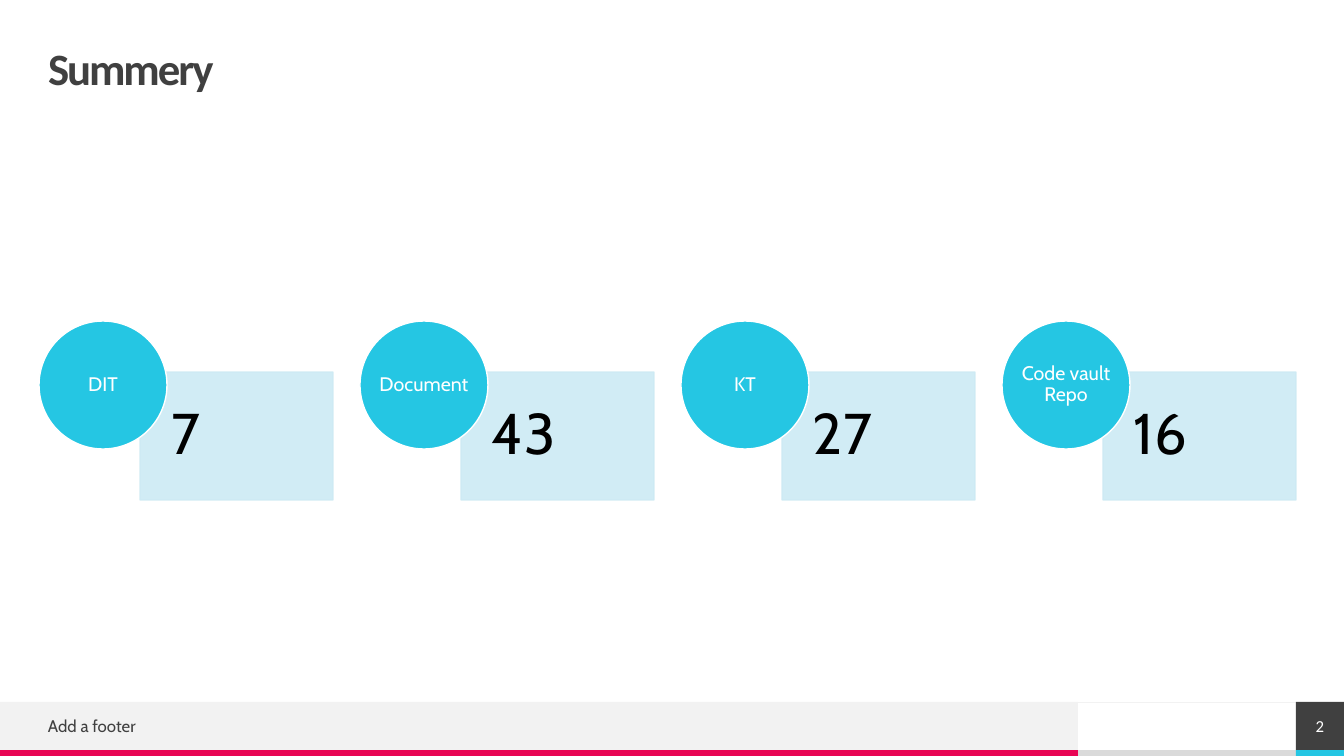
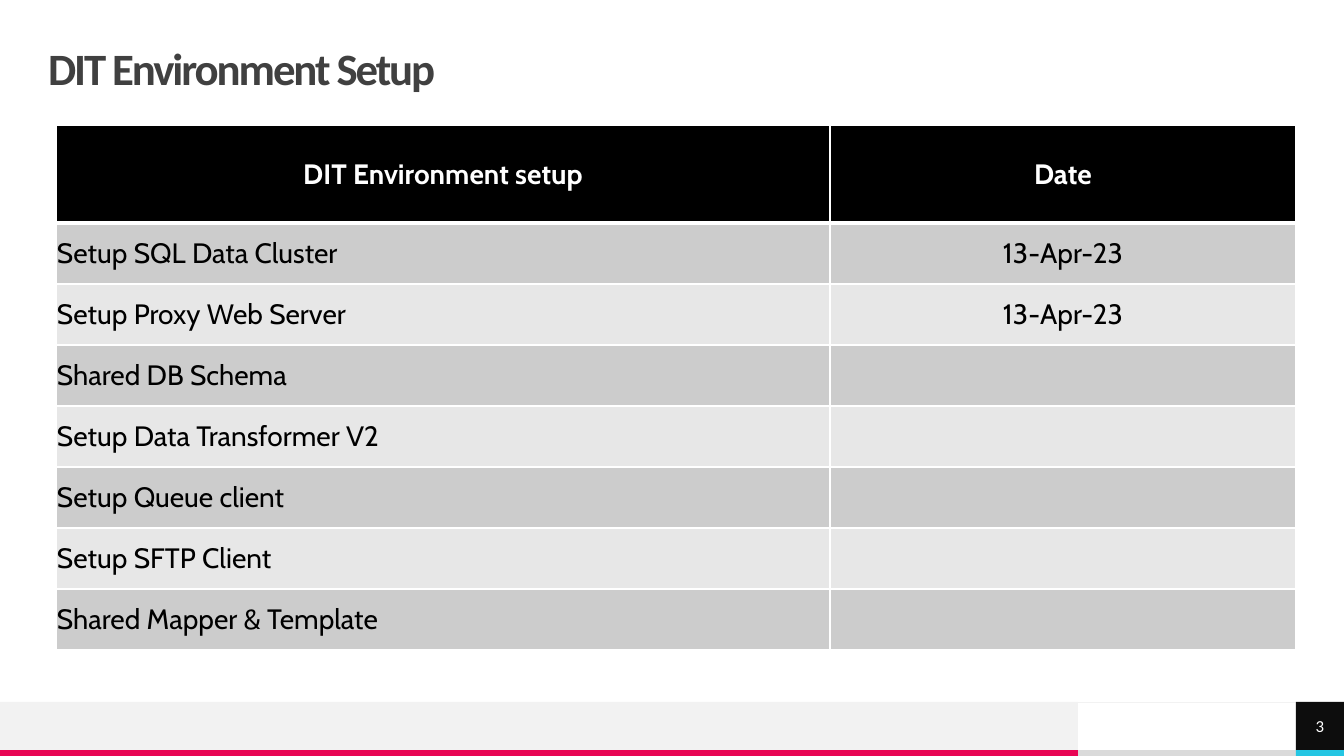
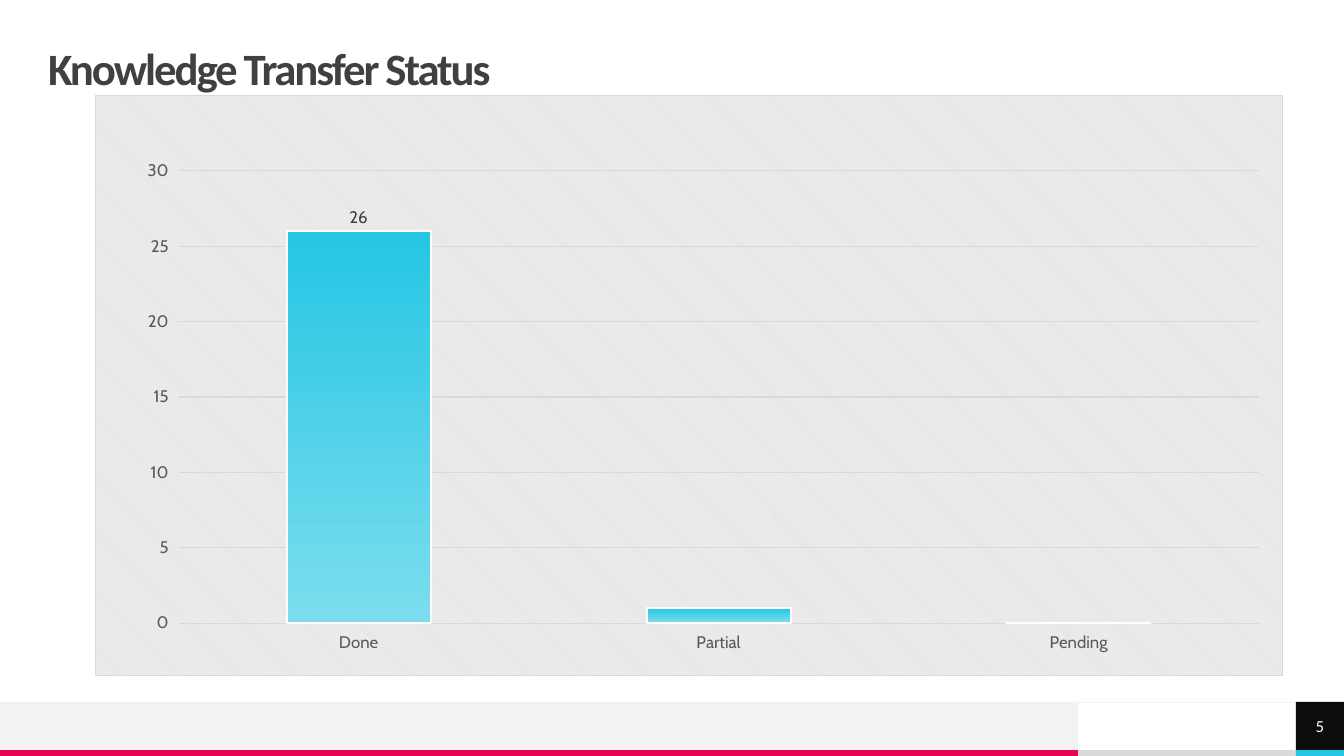
from dataclasses import dataclass

import lxml.etree
import pptx
import pptx.chart.data
import pptx.dml.color
import pptx.enum.chart
import pptx.enum.shapes
import pptx.enum.text
import pptx.oxml
import pptx.oxml.ns
import pptx.util

Align = pptx.enum.text.PP_ALIGN
Anchor = pptx.enum.text.MSO_ANCHOR
Shape = pptx.enum.shapes.MSO_SHAPE
Pt = pptx.util.Pt
qn = pptx.oxml.ns.qn


@dataclass(frozen=True)
class Theme:
    # Colours
    white: str = "FFFFFF"
    black: str = "000000"
    ink: str = "404040"
    near_black: str = "0D0D0D"
    axis_text: str = "595959"
    cyan: str = "25C6E3"
    light_cyan: str = "7CDDEE"
    card: str = "CDEAF4"
    pink: str = "E80554"
    footer: str = "F2F2F2"
    strip: str = "DADADA"
    grid: str = "D9D9D9"
    chart_back: str = "E6E6E6"
    dark_row: str = "CCCCCC"
    light_row: str = "E7E7E7"
    # Fonts and sizes in points
    heading: str = "Calibri"
    body: str = "Cabin"
    title_size: int = 32
    count_size: int = 41
    table_size: int = 20
    circle_size: int = 14
    small_size: int = 12
    chart_size: int = 10


THEME = Theme()
WIDTH, HEIGHT = 1344, 756
MARGIN = 48
FOOTER_TOP, STRIP_TOP = 702, 750
BAND_WIDTH, PAGE_LEFT = 1078, 1296


def px(length):
    return round(length * 914400 / 100.8)


def rgb(colour):
    return pptx.dml.color.RGBColor.from_string(colour)


def box(*lengths):
    return [px(length) for length in lengths]


# Text

def set_font(font, size, colour, name=THEME.body, bold=False):
    font.size, font.name, font.bold = Pt(size), name, bold
    font.color.rgb = rgb(colour)


def write(paragraph, text, size, colour, name=THEME.body, bold=False,
          align=Align.LEFT, leading=None, tracking=None):
    run = paragraph.add_run()
    run.text = text
    set_font(paragraph.font, size, colour, name, bold)
    paragraph.alignment = align
    if leading is not None:
        paragraph.line_spacing = leading
    if tracking is not None:
        run._r.get_or_add_rPr().set("spc", str(round(tracking * 100)))


def set_frame(frame, left=0, top=0, right=0, bottom=0):
    frame.word_wrap = True
    frame.vertical_anchor = Anchor.MIDDLE
    frame.margin_left, frame.margin_top = px(left), px(top)
    frame.margin_right, frame.margin_bottom = px(right), px(bottom)
    return frame.paragraphs[0]


# Shapes

def add_block(slide, kind, place, fill, line=None):
    block = slide.shapes.add_shape(kind, *box(*place))
    block.shadow.inherit = False
    block.fill.solid()
    block.fill.fore_color.rgb = rgb(fill)
    if line:
        block.line.color.rgb = rgb(line)
        block.line.width = Pt(1)
    else:
        block.line.fill.background()
    return block


def set_alpha(shape, percent):
    for colour in shape._element.spPr.iter(qn("a:srgbClr")):
        lxml.etree.SubElement(colour, qn("a:alpha")).set("val", str(percent * 1000))


# Shared slide frame

def add_slide(deck, title, number, page_fill=THEME.near_black):
    slide = deck.slides.add_slide(deck.slide_layouts[5])
    page_width = WIDTH - PAGE_LEFT
    band_height, strip_height = STRIP_TOP - FOOTER_TOP, HEIGHT - STRIP_TOP

    # Footer band and strips
    for left, top, width, height, fill in (
            (BAND_WIDTH, STRIP_TOP, PAGE_LEFT - BAND_WIDTH, strip_height, THEME.strip),
            (0, FOOTER_TOP, BAND_WIDTH, band_height, THEME.footer),
            (0, STRIP_TOP, BAND_WIDTH, strip_height, THEME.pink),
            (PAGE_LEFT, STRIP_TOP, page_width, strip_height, THEME.cyan)):
        add_block(slide, Shape.RECTANGLE, (left, top, width, height), fill)
    rule = slide.shapes.add_connector(
        pptx.enum.shapes.MSO_CONNECTOR.STRAIGHT, *box(WIDTH, FOOTER_TOP, 0, FOOTER_TOP))
    rule.line.color.rgb = rgb(THEME.footer)
    rule.line.width = Pt(0.5)
    lxml.etree.SubElement(rule._element.spPr, qn("a:effectLst"))

    # Page number
    page = add_block(slide, Shape.RECTANGLE,
                     (PAGE_LEFT, FOOTER_TOP, page_width, band_height), page_fill)
    write(set_frame(page.text_frame), str(number), THEME.small_size, THEME.white,
          THEME.heading, align=Align.CENTER)

    # Title
    heading = slide.shapes.title
    heading.left, heading.top, heading.width, heading.height = box(
        MARGIN, 47, PAGE_LEFT - MARGIN, 47)
    write(set_frame(heading.text_frame), title, THEME.title_size, THEME.ink,
          THEME.heading, True, leading=0.9, tracking=-1.5)
    return slide


# Summary cards

def add_card(slide, left, label, count):
    card = add_block(slide, Shape.RECTANGLE, (left, 372, 193, 128), THEME.card, THEME.card)
    set_alpha(card, 90)
    write(set_frame(card.text_frame, 31, 32, 32, 32), str(count), THEME.count_size,
          THEME.black, leading=0.9)
    circle = add_block(slide, Shape.OVAL, (left - 101, 321, 128, 128),
                       THEME.cyan, THEME.white)
    write(set_frame(circle.text_frame), label, THEME.circle_size, THEME.white,
          align=Align.CENTER, leading=0.9)


# Task table

def set_borders(cell, top, bottom):
    properties = cell._tc.get_or_add_tcPr()
    for side, width in (("L", 1), ("R", 1), ("T", top), ("B", bottom)):
        border = lxml.etree.SubElement(properties, qn("a:ln" + side))
        border.set("w", str(Pt(width)))
        fill = lxml.etree.SubElement(border, qn("a:solidFill"))
        lxml.etree.SubElement(fill, qn("a:srgbClr")).set("val", THEME.white)


def add_task_table(slide, rows):
    widths, header_height, row_height = (774, 466), 98, 61
    height = header_height + row_height * (len(rows) - 1)
    table = slide.shapes.add_table(len(rows), len(widths),
                                   *box(56, 125, sum(widths), height)).table
    for column, width in zip(table.columns, widths):
        column.width = px(width)
    for r, texts in enumerate(rows):
        header = r == 0
        table.rows[r].height = px(header_height if header else row_height)
        fill = THEME.black if header else (THEME.light_row, THEME.dark_row)[r % 2]
        for c, text in enumerate(texts):
            cell = table.cell(r, c)
            set_borders(cell, 3 if r == 1 else 1, 3 if header else 1)
            cell.fill.solid()
            cell.fill.fore_color.rgb = rgb(fill)
            cell.vertical_anchor = Anchor.MIDDLE
            cell.margin_left = cell.margin_right = cell.margin_top = px(1)
            cell.margin_bottom = 0
            if text:
                write(cell.text_frame.paragraphs[0], text, THEME.table_size,
                      THEME.white if header else THEME.black, bold=header,
                      align=Align.CENTER if header or c else Align.LEFT)


# Status chart

def set_chart_area(chart):
    chart_element = chart._chartSpace.find(qn("c:chart"))
    chart_element.addnext(pptx.oxml.parse_xml(
        f'<c:spPr {pptx.oxml.ns.nsdecls("c", "a")}><a:pattFill prst="dkDnDiag">'
        f'<a:fgClr><a:srgbClr val="{THEME.white}"/></a:fgClr>'
        f'<a:bgClr><a:srgbClr val="{THEME.chart_back}"/></a:bgClr></a:pattFill>'
        f'<a:ln w="{Pt(0.75)}"><a:solidFill><a:srgbClr val="{THEME.grid}"/>'
        '</a:solidFill></a:ln></c:spPr>'))


def set_plot_layout(chart, **place):
    plot_area = chart._chartSpace.find(qn("c:chart")).find(qn("c:plotArea"))
    for old in plot_area.findall(qn("c:layout")):
        plot_area.remove(old)
    layout = lxml.etree.Element(qn("c:layout"))
    manual = lxml.etree.SubElement(layout, qn("c:manualLayout"))
    settings = {"layoutTarget": "inner", "xMode": "edge", "yMode": "edge", **place}
    for name, value in settings.items():
        lxml.etree.SubElement(manual, qn("c:" + name)).set("val", str(value))
    plot_area.insert(0, layout)


def add_status_chart(slide, statuses):
    data = pptx.chart.data.CategoryChartData()
    data.categories = list(statuses)
    data.add_series("Series 1", list(statuses.values()))
    chart = slide.shapes.add_chart(pptx.enum.chart.XL_CHART_TYPE.COLUMN_CLUSTERED,
                                   *box(95, 95, 1188, 581), data).chart
    chart.has_legend = chart.has_title = False
    set_font(chart.font, THEME.chart_size, THEME.black)
    set_chart_area(chart)
    set_plot_layout(chart, x=0.07, y=0.13, w=0.91, h=0.78)

    # Axes
    for axis in (chart.category_axis, chart.value_axis):
        set_font(axis.tick_labels.font, THEME.small_size, THEME.axis_text)
        axis.format.line.fill.background()
    scale = chart.value_axis
    scale.minimum_scale, scale.maximum_scale, scale.major_unit = 0, 30, 5
    scale.has_major_gridlines = True
    scale.major_gridlines.format.line.color.rgb = rgb(THEME.grid)
    scale.major_gridlines.format.line.width = Pt(0.75)

    # Columns
    plot = chart.plots[0]
    plot.gap_width = 150
    plot.vary_by_categories = False
    columns = plot.series[0]
    columns.format.fill.gradient()
    columns.format.fill.gradient_angle = 270
    for stop, colour in zip(columns.format.fill.gradient_stops,
                            (THEME.cyan, THEME.light_cyan)):
        stop.color.rgb = rgb(colour)
    columns.format.line.color.rgb = rgb(THEME.white)
    columns.format.line.width = Pt(1.5)

    # Only the first column shows its value
    columns.data_labels.show_value = False
    done_label = columns.points[0].data_label
    set_font(done_label.font, THEME.small_size, THEME.ink)
    done_label.position = pptx.enum.chart.XL_LABEL_POSITION.OUTSIDE_END


def main():
    deck = pptx.Presentation()
    deck.slide_width, deck.slide_height = px(WIDTH), px(HEIGHT)

    summary = add_slide(deck, "Summery", 2, THEME.ink)
    footer = summary.shapes.add_textbox(*box(MARGIN, 710, 624, 32))
    write(set_frame(footer.text_frame), "Add a footer", THEME.small_size, THEME.ink)
    counts = (("DIT", 7), ("Document", 43), ("KT", 27), ("Code vault Repo", 16))
    for i, (label, count) in enumerate(counts):
        add_card(summary, 140 + 321 * i, label, count)

    setup = add_slide(deck, "DIT Environment Setup", 3)
    add_task_table(setup, (
        ("DIT Environment setup", "Date"),
        ("Setup SQL Data Cluster", "13-Apr-23"),
        ("Setup Proxy Web Server", "13-Apr-23"),
        ("Shared DB Schema", ""),
        ("Setup Data Transformer V2", ""),
        ("Setup Queue client", ""),
        ("Setup SFTP Client", ""),
        ("Shared Mapper & Template", "")))

    transfer = add_slide(deck, "Knowledge Transfer Status", 5)
    add_status_chart(transfer, {"Done": 26, "Partial": 1, "Pending": 0})

    deck.save("out.pptx")


if __name__ == "__main__":
    main()
